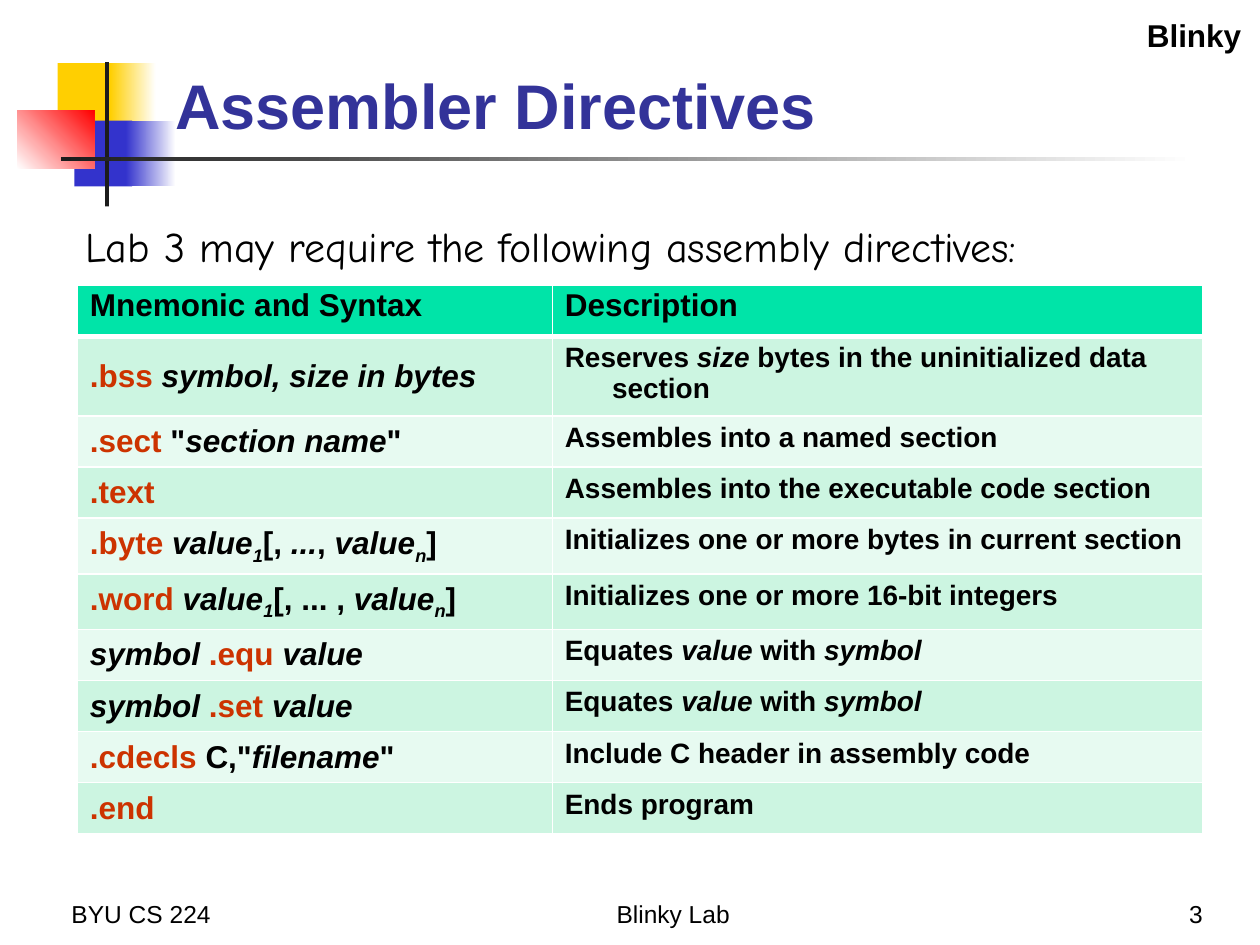
from lxml import etree
from pptx import Presentation
from pptx.dml.color import RGBColor
from pptx.enum import shapes, text
from pptx.oxml import ns
from pptx.util import Pt

GOLD = RGBColor(0xFF, 0xCF, 0x01)
BLUE = RGBColor(0x33, 0x33, 0xCC)
RED = RGBColor(0xFF, 0, 0)
DARK = RGBColor(0x1C, 0x1C, 0x1C)
WHITE = RGBColor(0xFF, 0xFF, 0xFF)
BLACK = RGBColor(0, 0, 0)
NAVY = RGBColor(0x33, 0x33, 0x99)
RUST = RGBColor(0xCC, 0x33, 0)
GREEN = RGBColor(0, 0xE4, 0xA8)
BANDS = [RGBColor(0xCC, 0xF5, 0xE1), RGBColor(0xE7, 0xFA, 0xF1)]
ALIGN = text.PP_ALIGN
ANCHOR = text.MSO_ANCHOR

deck = Presentation()
deck.slide_width, deck.slide_height = Pt(720), Pt(540)
slide = deck.slides.add_slide(deck.slide_layouts[5])


def style(run, size, color, bold=False, face="Arial"):
    run.font.name, run.font.size = face, Pt(size)
    run.font.color.rgb, run.font.bold = color, bold


def label(words, box, size, align, anchor, bold=False, face="Arial"):
    frame = slide.shapes.add_textbox(*map(Pt, box)).text_frame
    frame.word_wrap = True
    frame.vertical_anchor = anchor
    frame.text = words
    para = frame.paragraphs[0]
    para.alignment = align
    style(para.runs[0], size, BLACK, bold, face)


blocks = [
    ((33, 36, 34.5, 37.5), [GOLD], 0),
    ((63, 36, 26, 37.5), [GOLD, WHITE], 0),
    ((42.5, 69, 33, 37.5), [BLUE], 0),
    ((72, 69, 28.5, 37.5), [BLUE, WHITE], 0),
    ((10, 63, 44, 33.5), [WHITE, RED], 45),
    ((60, 35.5, 2.3, 82.5), [DARK], 0),
    ((34.8, 89.5, 648, 2.3), [DARK, WHITE], 0),
]
for box, tones, angle in blocks:
    block = slide.shapes.add_shape(shapes.MSO_SHAPE.RECTANGLE, *map(Pt, box))
    block.shadow.inherit = False
    block.line.fill.background()
    if len(tones) == 1:
        block.fill.solid()
        block.fill.fore_color.rgb = tones[0]
    else:
        block.fill.gradient()
        block.fill.gradient_angle = angle
        for stop, tone in zip(block.fill.gradient_stops, tones):
            stop.color.rgb = tone

title = slide.shapes.title
title.left, title.top, title.width, title.height = map(Pt, (92.9, 16.5, 613.4, 68.4))
frame = title.text_frame
frame.text = "Assembler Directives"
frame.auto_size = text.MSO_AUTO_SIZE.NONE
frame.vertical_anchor = ANCHOR.BOTTOM
frame.paragraphs[0].alignment = ALIGN.LEFT
style(frame.paragraphs[0].runs[0], 36, NAVY, True)

for words, left, width, align in [
    ("BYU CS 224", 33.8, 150, ALIGN.LEFT),
    ("Blinky Lab", 200, 369.4, ALIGN.CENTER),
    ("3", 544.3, 150, ALIGN.RIGHT),
]:
    label(words, (left, 498.2, width, 36), 14, align, ANCHOR.BOTTOM)

label("Blinky", (427, 5.8, 289.4, 29), 18, ALIGN.RIGHT, ANCHOR.TOP, True)
label("Lab 3 may require the following assembly directives:",
      (41.8, 122.4, 635, 36), 24, ALIGN.LEFT, ANCHOR.TOP, face="Comic Neue")

# Each piece starts with its style: n plain, i italic, s subscript, r red.
rows = [
    ("nMnemonic and Syntax", "nDescription"),
    ("r.bss |isymbol, size in bytes",
     "nReserves |isize |nbytes in the uninitialized data section"),
    ('r.sect|n "|isection name|n"', "nAssembles into a named section"),
    ("r.text", "nAssembles into the executable code section"),
    ("r.byte |ivalue|s1|n[, |i...|n, |ivalue|sn|n]",
     "nInitializes one or more bytes in current section"),
    ("r.word |ivalue|s1|n[, ... , |ivalue|sn|n]",
     "nInitializes one or more 16-bit integers"),
    ("isymbol |r.equ |ivalue", "nEquates |ivalue |nwith |isymbol"),
    ("isymbol |r.set |ivalue", "nEquates |ivalue |nwith |isymbol"),
    ('r.cdecls |nC,"|ifilename|n"', "nInclude C header in assembly code"),
    ("r.end", "nEnds program"),
]
table = slide.shapes.add_table(len(rows), 2, Pt(44.2), Pt(162.9), Pt(643), Pt(292)).table
table.first_row = table.horz_banding = False
table.columns[0].width, table.columns[1].width = Pt(271.4), Pt(371.6)
for y, row in enumerate(rows):
    table.rows[y].height = Pt(29.2)
    for x, words in enumerate(row):
        cell = table.cell(y, x)
        cell.fill.solid()
        cell.fill.fore_color.rgb = BANDS[(y - 1) % 2] if y else GREEN
        cell.margin_left = cell.margin_right = Pt(7.2)
        cell.margin_top = cell.margin_bottom = Pt(3.6 if y else 1.44)
        cell.vertical_anchor = ANCHOR.MIDDLE if y and x == 0 else ANCHOR.TOP
        para = cell.text_frame.paragraphs[0]
        props = para._p.get_or_add_pPr()
        props.set("marL", str(Pt(27)))
        props.set("indent", str(Pt(-27)))
        for piece in words.split("|"):
            run = para.add_run()
            run.text = piece[1:]
            style(run, 16 if y and x else 18, RUST if piece[0] == "r" else BLACK, True)
            run.font.italic = piece[0] in "is"
            if piece[0] == "s":
                run._r.get_or_add_rPr().set("baseline", "-25000")
        props = cell._tc.get_or_add_tcPr()
        for spot, side in enumerate("LRTB"):
            thick = (y, side) in [(0, "B"), (1, "T")]
            line = etree.Element(ns.qn("a:ln" + side), w=str(Pt(3 if thick else 1)))
            fill = etree.SubElement(line, ns.qn("a:solidFill"))
            etree.SubElement(fill, ns.qn("a:srgbClr"), val=str(WHITE))
            props.insert(spot, line)

deck.save("out.pptx")
